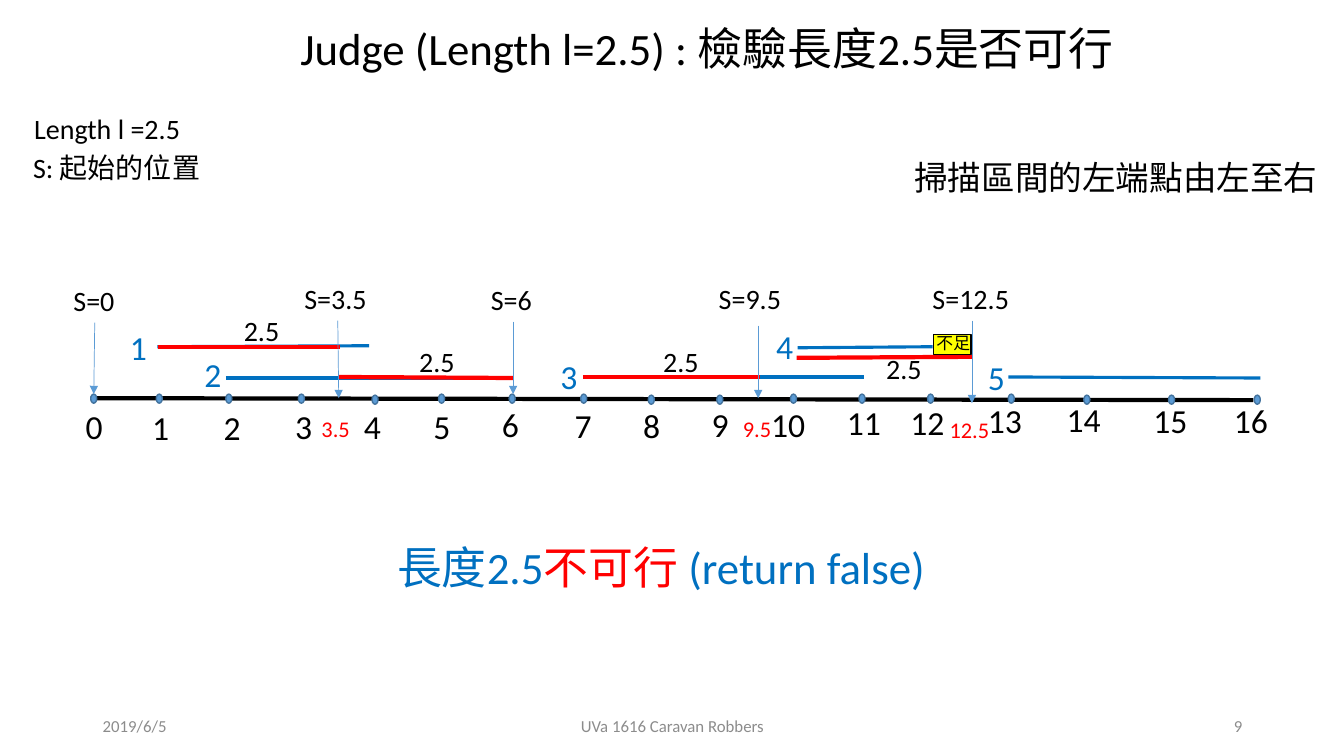
from lxml import etree
from pptx import Presentation
from pptx.dml.color import RGBColor
from pptx.enum.shapes import MSO_CONNECTOR, MSO_SHAPE
from pptx.enum.text import MSO_ANCHOR, PP_ALIGN
from pptx.oxml.ns import qn
from pptx.util import Inches, Pt

STRAIGHT = MSO_CONNECTOR.STRAIGHT
OVAL, RECTANGLE = MSO_SHAPE.OVAL, MSO_SHAPE.RECTANGLE
TOP, MIDDLE = MSO_ANCHOR.TOP, MSO_ANCHOR.MIDDLE
LEFT, CENTER, RIGHT = PP_ALIGN.LEFT, PP_ALIGN.CENTER, PP_ALIGN.RIGHT

LATIN, CJK = "Calibri", "Noto Sans CJK SC"
BLACK, RED, BLUE, GRAY = "000000", "FF0000", "0070C0", "8C8C8C"
DOT_FILL, DOT_EDGE, YELLOW = "5B9BD5", "43739E", "FFFF00"

# Number line: dot left, dot top, label left, label top; the index is the number
TICKS = [
    (0.9, 3.91, 0.75, 3.98), (1.55, 3.91, 1.41, 3.99), (2.24, 3.91, 2.12, 3.99),
    (2.96, 3.91, 2.83, 3.98), (3.69, 3.92, 3.51, 3.98), (4.35, 3.91, 4.2, 3.98),
    (5.05, 3.91, 4.88, 3.96), (5.76, 3.91, 5.6, 3.97), (6.43, 3.92, 6.28, 3.97),
    (7.11, 3.92, 6.96, 3.96), (7.84, 3.91, 7.55, 3.96), (8.52, 3.91, 8.3, 3.94),
    (9.2, 3.91, 8.93, 3.94), (10, 3.91, 9.7, 3.92), (10.75, 3.92, 10.48, 3.91),
    (11.59, 3.92, 11.34, 3.92), (12.44, 3.92, 12.14, 3.92),
]
# Start and end of each interval, then left and top of its number
INTERVALS = [
    ((1.56, 3.44), (3.66, 3.43), 1.19, 3.19),
    ((2.24, 3.75), (5.09, 3.75), 1.93, 3.46),
    ((5.79, 3.74), (8.57, 3.74), 5.46, 3.48),
    ((7.91, 3.45), (9.25, 3.44), 7.6, 3.18),
    ((10, 3.74), (12.5, 3.75), 9.7, 3.49),
]
# Start and end of each used stretch, then left and top of its length
STRETCHES = [
    ((1.57, 3.44), (3.37, 3.44), 2.32, 3.06),
    ((3.36, 3.74), (5.09, 3.75), 4.06, 3.37),
    ((5.78, 3.74), (7.54, 3.74), 6.48, 3.37),
    ((7.9, 3.55), (9.65, 3.54), 8.69, 3.44),
]
# Position S: value, label left and top, arrow start and end
POSITIONS = [
    ("0", 0.63, 2.76, (0.94, 3.2), (0.93, 3.91)),
    ("3.5", 2.92, 2.74, (3.35, 3.18), (3.36, 3.95)),
    ("6", 4.77, 2.75, (5.09, 3.19), (5.09, 3.91)),
    ("9.5", 7.03, 2.74, (7.52, 3.23), (7.52, 3.95)),
    ("12.5", 9.15, 2.74, (9.64, 3.18), (9.64, 4)),
]
HALF_VALUES = [("3.5", 3.09, 4.07), ("9.5", 7.27, 4.07), ("12.5", 9.32, 4.08)]


def rgb(color):
    return RGBColor.from_string(color)


def add_text(slide, text, left, top, width, height, size=24, color=BLACK,
             font=LATIN, align=LEFT, anchor=TOP):
    """Text is a string, or a list of (string, font, color) runs."""
    frame = slide.shapes.add_textbox(
        Inches(left), Inches(top), Inches(width), Inches(height)).text_frame
    frame.word_wrap = True
    frame.vertical_anchor = anchor
    paragraph = frame.paragraphs[0]
    paragraph.alignment = align
    runs = [(text, font, color)] if isinstance(text, str) else text
    for words, run_font, run_color in runs:
        run = paragraph.add_run()
        run.text = words
        run.font.size = Pt(size)
        run.font.color.rgb = rgb(run_color)
        run.font.name = run_font
        east_asian = etree.SubElement(run.font._element, qn("a:ea"))
        east_asian.set("typeface", CJK)


def add_line(slide, start, end, color, weight, arrow=False):
    line = slide.shapes.add_connector(
        STRAIGHT, *(Inches(value) for value in (*start, *end)))
    line.line.color.rgb = rgb(color)
    line.line.width = Pt(weight)
    if arrow:
        head = etree.SubElement(line.line._get_or_add_ln(), qn("a:tailEnd"))
        head.set("type", "triangle")
    etree.SubElement(line._element.spPr, qn("a:effectLst"))


def add_filled(slide, kind, left, top, width, height, fill, edge):
    shape = slide.shapes.add_shape(
        kind, Inches(left), Inches(top), Inches(width), Inches(height))
    shape.shadow.inherit = False
    shape.fill.solid()
    shape.fill.fore_color.rgb = rgb(fill)
    shape.line.color.rgb = rgb(edge)
    shape.line.width = Pt(1)


def add_number_line(slide):
    add_line(slide, (0.9, 3.95), (12.43, 3.97), BLACK, 3)
    for number, (dot_left, dot_top, left, top) in enumerate(TICKS):
        add_filled(slide, OVAL, dot_left, dot_top, 0.06, 0.09, DOT_FILL, DOT_EDGE)
        add_text(slide, str(number), left, top, 0.36 if number < 10 else 0.59, 0.5)
    for value, left, top in HALF_VALUES:
        add_text(slide, value, left, top, 0.61, 0.37, size=16, color=RED)


def add_intervals(slide):
    for number, (start, end, left, top) in enumerate(INTERVALS, 1):
        add_line(slide, start, end, BLUE, 2.25)
        add_text(slide, str(number), left, top, 0.36, 0.5, color=BLUE)
    for start, end, left, top in STRETCHES:
        add_line(slide, start, end, RED, 3)
        add_text(slide, "2.5", left, top, 0.6, 0.44, size=20)


def add_positions(slide):
    for value, left, top, start, end in POSITIONS:
        width = 0.7 if len(value) == 1 else 1
        add_text(slide, f"S={value}", left, top, width, 0.44, size=20)
        add_line(slide, start, end, DOT_FILL, 0.5, arrow=True)


def add_footer(slide):
    for text, left, width, align in [
            ("2019/6/5", 0.92, 3, LEFT),
            ("UVa 1616 Caravan Robbers", 4.42, 4.5, CENTER),
            ("9", 9.42, 3, RIGHT)]:
        add_text(slide, text, left, 7, width, 0.4, size=12, color=GRAY,
                 align=align, anchor=MIDDLE)


def main():
    deck = Presentation()
    deck.slide_width, deck.slide_height = Inches(13.33), Inches(7.5)
    slide = deck.slides.add_slide(deck.slide_layouts[6])

    add_footer(slide)

    # Diagram
    add_number_line(slide)
    add_intervals(slide)
    add_positions(slide)

    # Mark for the stretch that falls short
    add_filled(slide, RECTANGLE, 9.26, 3.32, 0.37, 0.2, YELLOW, BLACK)
    add_text(slide, "不足", 9.19, 3.25, 0.6, 0.3, size=12, font=CJK)

    # Title and legend
    add_text(slide, [("Judge (Length l=2.5) : ", LATIN, BLACK), ("檢驗長度", CJK, BLACK),
                     ("2.5", LATIN, BLACK), ("是否可行", CJK, BLACK)],
             2.88, 0.16, 8.45, 0.64, size=32)
    add_text(slide, "Length l =2.5", 0.24, 1.06, 2.07, 0.44, size=20)
    add_text(slide, [("S: ", LATIN, BLACK), ("起始的位置", CJK, BLACK)],
             0.23, 1.44, 2.24, 0.44, size=20)
    add_text(slide, "掃描區間的左端點由左至右", 8.97, 1.51, 4.36, 0.5, font=CJK)

    # Verdict
    add_text(slide, [("長度", CJK, BLUE), ("2.5", LATIN, BLUE),
                     ("不可行 ", CJK, RED), ("(return false)", LATIN, BLUE)],
             3.84, 5.31, 5.67, 0.64, size=32)

    deck.save("out.pptx")


if __name__ == "__main__":
    main()
